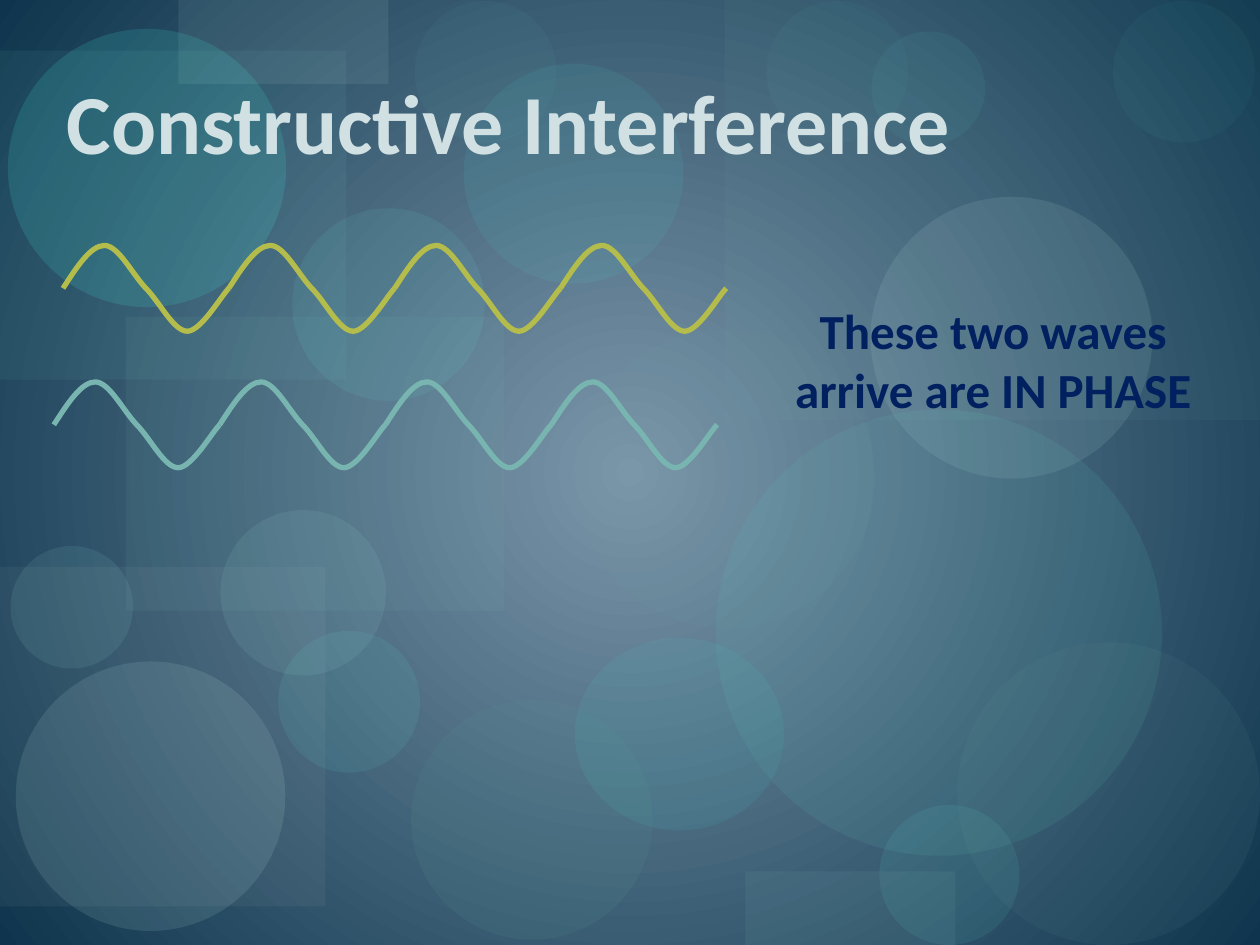
from lxml import etree
from pptx import Presentation
from pptx.dml.color import RGBColor
from pptx.enum.shapes import MSO_SHAPE
from pptx.enum.text import MSO_ANCHOR, MSO_AUTO_SIZE, PP_ALIGN
from pptx.oxml.ns import qn
from pptx.util import Pt

RECT, OVAL = MSO_SHAPE.RECTANGLE, MSO_SHAPE.OVAL
TOP, NO_FIT = MSO_ANCHOR.TOP, MSO_AUTO_SIZE.NONE
LEFT, CENTER = PP_ALIGN.LEFT, PP_ALIGN.CENTER

BG_CENTER = RGBColor(0x7B, 0x96, 0xAA)
BG_EDGE = RGBColor(0x0E, 0x35, 0x4D)
TITLE = RGBColor(0xD1, 0xE1, 0xE3)
NAVY = RGBColor(0x00, 0x20, 0x60)
OLIVE = RGBColor(0xB4, 0xBC, 0x4C)
SEA = RGBColor(0x79, 0xB5, 0xB0)
TEAL = RGBColor(0x54, 0x97, 0x91)
GREY = RGBColor(0xB2, 0xB7, 0xBA)
SAGE = RGBColor(0x70, 0xA3, 0x9E)
AQUA = RGBColor(0x65, 0xE8, 0xDC)
MIST = RGBColor(0xC1, 0xE8, 0xE4)
BRIGHT = RGBColor(0x44, 0xEA, 0xDC)
MINT = RGBColor(0x77, 0xD6, 0xCE)
PALE = RGBColor(0xBE, 0xD7, 0xD4)
FOAM = RGBColor(0x97, 0xDC, 0xD6)
LAGOON = RGBColor(0x61, 0xCD, 0xC4)

# kind, left, top, width, height, colour, opacity in percent
DECOR = [
    (RECT, 72, 181, 216, 168, SEA, 9),
    (OVAL, 235, 400, 138, 137, TEAL, 13),
    (RECT, 414, 0, 306, 240, SEA, 6),
    (RECT, 0, 324, 186, 194, GREY, 8),
    (OVAL, 329, 188, 171, 171, SAGE, 8),
    (OVAL, 502.5, 460, 80, 80, AQUA, 9),
    (OVAL, 497.5, 112.5, 161, 161, MIST, 11),
    (OVAL, 9, 378, 154, 154, MIST, 12),
    (OVAL, 159, 360.5, 81, 81, AQUA, 9),
    (OVAL, 328.5, 364.5, 119.5, 110, BRIGHT, 8),
    (RECT, 0, 29, 198, 188, MINT, 7),
    (RECT, 102, 0, 120, 48, PALE, 10),
    (OVAL, 4.5, 16.5, 159, 159, BRIGHT, 15),
    (OVAL, 6, 312, 70, 70, FOAM, 10),
    (OVAL, 167, 119, 110, 110, AQUA, 9),
    (OVAL, 265, 36.5, 125.5, 125.5, BRIGHT, 8),
    (OVAL, 409, 234, 255, 255, LAGOON, 10),
    (OVAL, 438, 0.5, 81, 81, AQUA, 4),
    (OVAL, 547, 367, 173, 173, SAGE, 8),
    (OVAL, 126, 291.5, 94.5, 94.5, FOAM, 10),
    (OVAL, 498, 18, 65, 65, AQUA, 6),
    (OVAL, 636, 0.5, 81, 81, AQUA, 4),
    (RECT, 426, 498, 120, 42, SEA, 10),
    (OVAL, 237, 0.5, 81, 81, AQUA, 4),
]

CYCLES = 4
# Bezier points of one cycle, as fractions of its width and height
CYCLE_X = [i / 12 for i in range(11)] + [0.96, 1]
CYCLE_Y = [0.5, 0.25, 0, 0, 0, 0.33, 0.5, 0.66, 1, 1, 1, 0.57, 0.5]


def paint_background(s):
    """Radial gradient from the middle of the slide."""
    fill = s.background.fill
    fill.gradient()
    for stop, color in zip(fill.gradient_stops, (BG_CENTER, BG_EDGE)):
        stop.color.rgb = color
    grad = s._element.find(".//" + qn("a:gradFill"))
    grad.remove(grad.find(qn("a:lin")))
    radial = etree.SubElement(grad, qn("a:path"), path="circle")
    etree.SubElement(radial, qn("a:fillToRect"),
                     {side: "50000" for side in "ltrb"})


def add_decor(s):
    for kind, x, y, w, h, color, opacity in DECOR:
        sp = s.shapes.add_shape(kind, Pt(x), Pt(y), Pt(w), Pt(h))
        sp.shadow.inherit = False
        sp.line.fill.background()
        sp.fill.solid()
        sp.fill.fore_color.rgb = color
        clr = sp._element.spPr.find(".//" + qn("a:srgbClr"))
        etree.SubElement(clr, qn("a:alpha"), val=str(opacity * 1000))


def curve_path(sp):
    """Turn each three line segments of a freeform into one Bezier curve."""
    outline = sp._element.find(".//" + qn("a:path"))
    lines = outline.findall(qn("a:lnTo"))
    for i in range(0, len(lines), 3):
        curve = etree.SubElement(outline, qn("a:cubicBezTo"))
        for line in lines[i:i + 3]:
            curve.append(line[0])
            outline.remove(line)


def add_wave(s, x, y, w, h, color):
    group = s.shapes.add_group_shape()
    step = w / CYCLES
    for n in range(CYCLES):
        points = [(Pt(x + (n + fx) * step), Pt(y + fy * h))
                  for fx, fy in zip(CYCLE_X, CYCLE_Y)]
        builder = group.shapes.build_freeform(*points[0])
        builder.add_line_segments(points[1:], close=False)
        sp = builder.convert_to_shape()
        curve_path(sp)
        sp.shadow.inherit = False
        sp.fill.background()
        sp.line.color.rgb = color
        sp.line.width = Pt(3)


def set_text(sp, x, y, w, h, text, size, color, align, wrap):
    sp.left, sp.top, sp.width, sp.height = Pt(x), Pt(y), Pt(w), Pt(h)
    tf = sp.text_frame
    tf.text = text
    frame = {"word_wrap": wrap, "auto_size": NO_FIT, "vertical_anchor": TOP}
    for name, value in frame.items():
        setattr(tf, name, value)
    p = tf.paragraphs[0]
    p.alignment = align
    font = p.runs[0].font
    for name, value in {"name": "Calibri", "size": Pt(size), "bold": True}.items():
        setattr(font, name, value)
    font.color.rgb = color


def add_note(s, x, y, w, h):
    sp = s.shapes.add_textbox(Pt(x), Pt(y), Pt(w), Pt(h))
    set_text(sp, x, y, w, h, "These two waves arrive are IN PHASE",
             28, NAVY, CENTER, True)


def place_title(s, x, y, w, h):
    """Format the title and bring it in front of the decoration."""
    title = s.shapes.title
    set_text(title, x, y, w, h, "Constructive Interference",
             48, TITLE, LEFT, False)
    s.shapes._spTree.append(title._element)


def main():
    prs = Presentation()
    prs.slide_width, prs.slide_height = Pt(720), Pt(540)
    s = prs.slides.add_slide(prs.slide_layouts[5])
    paint_background(s)
    add_decor(s)
    add_wave(s, 36, 140.25, 379, 49, OLIVE)
    add_wave(s, 30.75, 218.25, 379, 49, SEA)
    add_note(s, 435, 168, 265, 75)
    place_title(s, 31, 36.75, 546, 65.5)
    prs.save("out.pptx")


if __name__ == "__main__":
    main()
